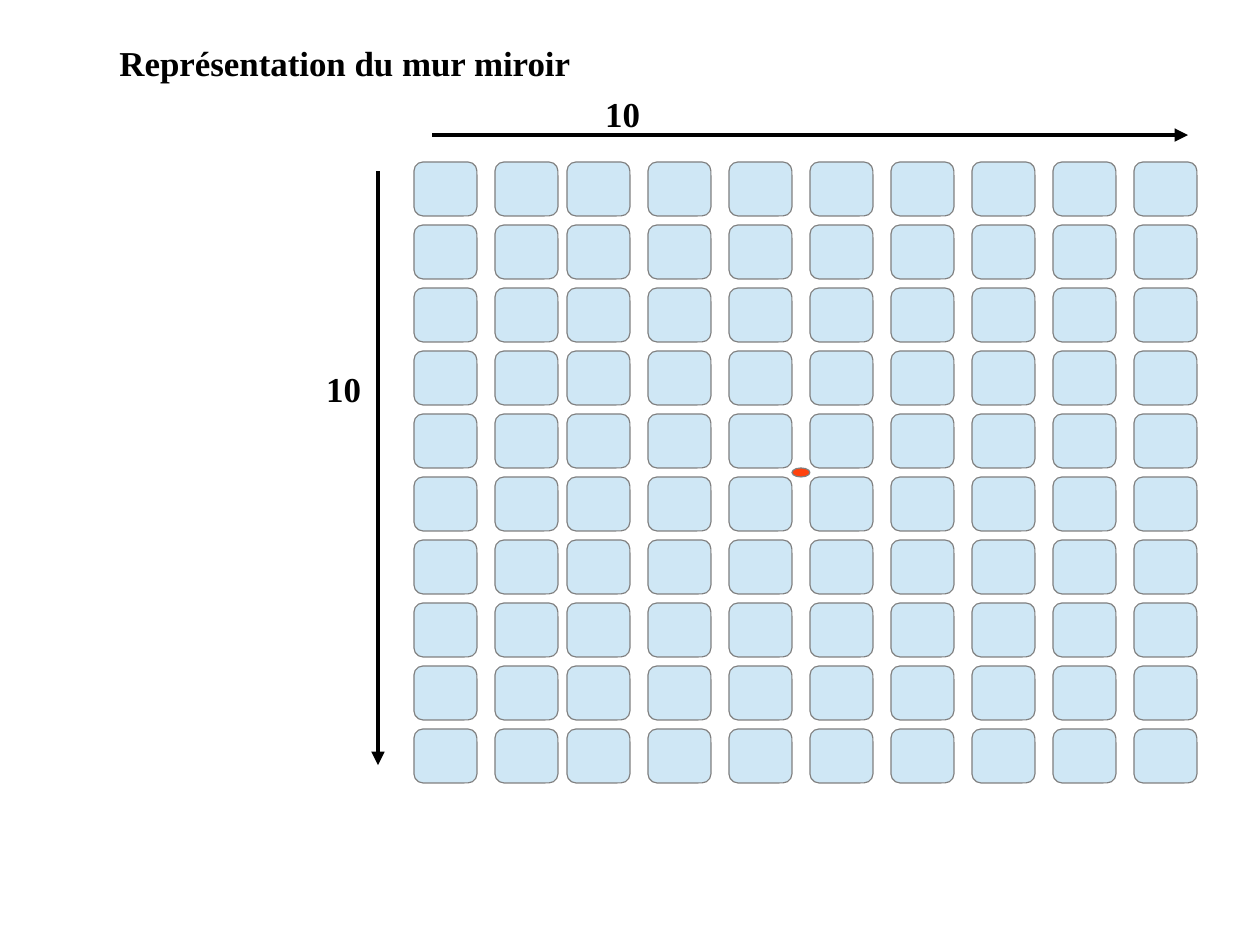
from lxml import etree
from pptx import Presentation
from pptx.dml.color import RGBColor
from pptx.enum.shapes import MSO_CONNECTOR, MSO_SHAPE
from pptx.enum.text import MSO_ANCHOR, MSO_AUTO_SIZE, PP_ALIGN
from pptx.oxml.ns import qn
from pptx.util import Cm, Pt

STRAIGHT = MSO_CONNECTOR.STRAIGHT
ROUNDED, OVAL = MSO_SHAPE.ROUNDED_RECTANGLE, MSO_SHAPE.OVAL
TOP, LEFT, GROW = MSO_ANCHOR.TOP, PP_ALIGN.LEFT, MSO_AUTO_SIZE.SHAPE_TO_FIT_TEXT

COLORS = {"mirror": "CFE7F5", "outline": "808080", "center": "FF420E", "ink": "000000"}
FONT = "Times New Roman"


def add_filled(kind, left, top, width, height, color):
    shape = slide.shapes.add_shape(kind, Cm(left), Cm(top), Cm(width), Cm(height))
    shape.shadow.inherit = False
    shape.fill.solid()
    shape.fill.fore_color.rgb = RGBColor.from_string(COLORS[color])
    shape.line.color.rgb = RGBColor.from_string(COLORS["outline"])
    shape.line.width = Pt(0)


def write_bold(box, text):
    frame = box.text_frame
    frame.text = text
    frame.word_wrap = True
    frame.auto_size = GROW
    frame.vertical_anchor = TOP
    paragraph = frame.paragraphs[0]
    paragraph.alignment = LEFT
    font = paragraph.runs[0].font
    font.name, font.size, font.bold = FONT, Pt(22), True
    font.color.rgb = RGBColor.from_string(COLORS["ink"])


prs = Presentation()
prs.slide_width, prs.slide_height = Cm(28), Cm(21)
slide = prs.slides.add_slide(prs.slide_layouts[5])

# Title
title = slide.shapes.title
title.left, title.top, title.width, title.height = Cm(2.4), Cm(0.8), Cm(24.4), Cm(1.12)
write_bold(title, "Représentation du mur miroir")

# Mirror wall: ten by ten, with a narrower gap before the third column
column_lefts = [9.2, 11] + [12.6 + 1.8 * column for column in range(8)]
for row in range(10):
    for mirror_left in column_lefts:
        add_filled(ROUNDED, mirror_left, 3.6 + 1.4 * row, 1.4, 1.2, "mirror")

# Dimension arrows
for x1, y1, x2, y2 in [(8.4, 3.8, 8.4, 17), (9.6, 3, 26.4, 3)]:
    arrow = slide.shapes.add_connector(STRAIGHT, Cm(x1), Cm(y1), Cm(x2), Cm(y2))
    arrow.line.color.rgb = RGBColor.from_string(COLORS["ink"])
    arrow.line.width = Pt(2.83)
    properties = arrow.element.spPr
    etree.SubElement(properties.find(qn("a:ln")), qn("a:tailEnd"), type="triangle")
    etree.SubElement(properties, qn("a:effectLst"))

# Mirror counts beside the arrows
for left, top, width in [(7, 8.05, 2.8), (13.2, 1.93, 3.2)]:
    count = slide.shapes.add_textbox(Cm(left), Cm(top), Cm(width), Cm(1.12))
    write_bold(count, "10")

# Center of the wall
add_filled(OVAL, 17.6, 10.4, 0.4, 0.2, "center")

prs.save("out.pptx")
